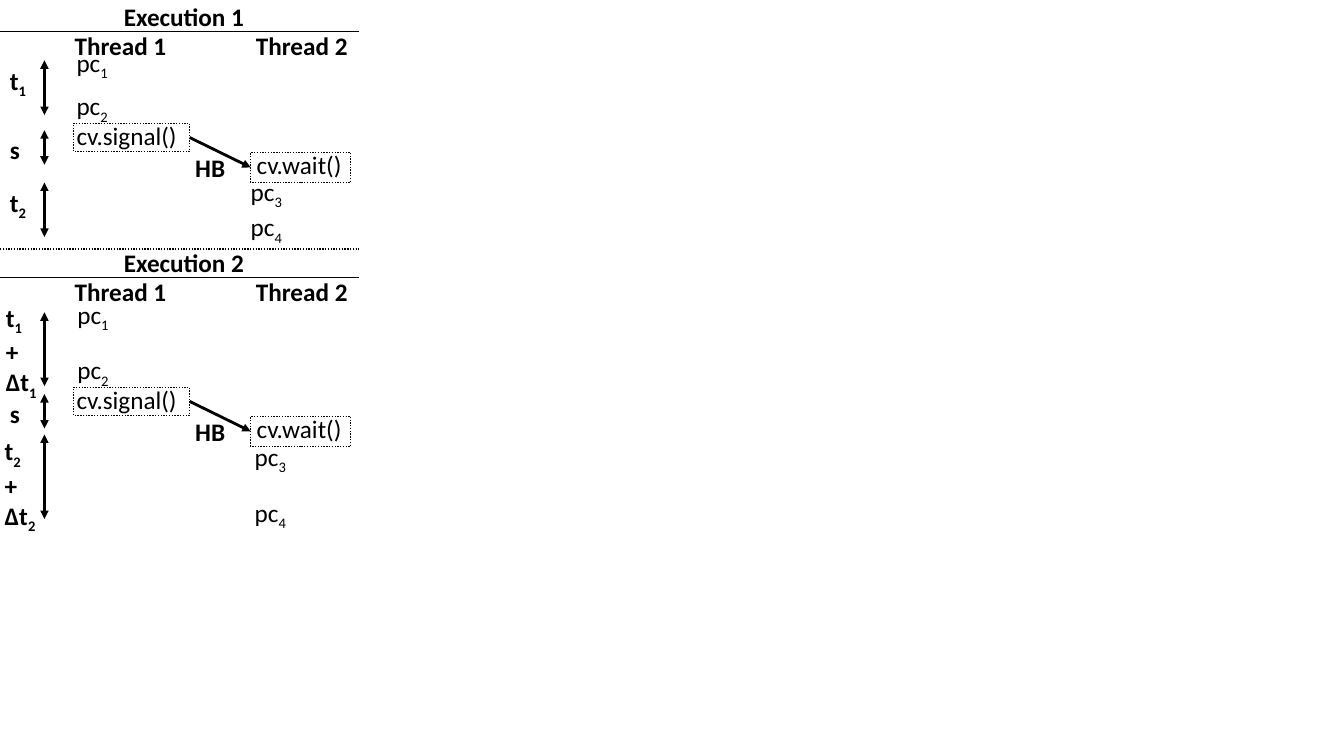
from dataclasses import dataclass

import pptx
import pptx.dml.color
import pptx.enum.dml
import pptx.enum.shapes
import pptx.enum.text
import pptx.oxml
import pptx.oxml.ns
import pptx.util

Cm = pptx.util.Cm
Pt = pptx.util.Pt


@dataclass(frozen=True)
class Theme:
    font: str = "Calibri"
    size: int = 18
    ink: str = "000000"
    thin: float = 1
    thick: float = 2


THEME = Theme()
INK = pptx.dml.color.RGBColor.from_string(THEME.ink)
DOTTED = pptx.enum.dml.MSO_LINE.ROUND_DOT
LINE_H = 1.02      # height of a one-line label, cm
RULE_W = 9.04      # width of the diagram, cm
ARROW_X = 1.12     # column of the duration arrows, cm
THREADS = (("Thread 1", 1.63), ("Thread 2", 6.2))


def add_label(slide, text, left, top, width, height=LINE_H, bold=False, wrap=False):
    """Text label; in each line, what follows "_" is a subscript."""
    sp = slide.shapes.add_textbox(Cm(left), Cm(top), Cm(width), Cm(height))
    tf = sp.text_frame
    tf.word_wrap = wrap
    tf.auto_size = pptx.enum.text.MSO_AUTO_SIZE.SHAPE_TO_FIT_TEXT
    for i, line in enumerate(text.split("\n")):
        p = tf.paragraphs[0] if i == 0 else tf.add_paragraph()
        base, _, sub = line.partition("_")
        p.text = base
        if sub:
            r = p.add_run()
            r.text = sub
            r._r.get_or_add_rPr().set("baseline", "-25000")
        for r in p.runs:
            r.font.name = THEME.font
            r.font.size = Pt(THEME.size)
            r.font.bold = bold
            r.font.color.rgb = INK


def style_line(line, width, dash=None):
    line.color.rgb = INK
    line.width = Pt(width)
    if dash is not None:
        line.dash_style = dash


def add_line(slide, x1, y1, x2, y2, width=THEME.thin, dash=None, ends=()):
    """Straight line; ends names the arrowheads, headEnd and/or tailEnd."""
    cxn = slide.shapes.add_connector(
        pptx.enum.shapes.MSO_CONNECTOR.STRAIGHT, Cm(x1), Cm(y1), Cm(x2), Cm(y2))
    style_line(cxn.line, width, dash)
    ln = cxn.line._get_or_add_ln()
    for end in ends:
        arrowhead = pptx.oxml.parse_xml(
            f'<a:{end} {pptx.oxml.ns.nsdecls("a")} type="triangle"/>')
        ln.append(arrowhead)
    cxn._element.spPr.append(
        pptx.oxml.parse_xml(f'<a:effectLst {pptx.oxml.ns.nsdecls("a")}/>'))
    return cxn


def add_dotted_box(slide, left, top, width, height):
    sp = slide.shapes.add_shape(
        pptx.enum.shapes.MSO_SHAPE.RECTANGLE, Cm(left), Cm(top), Cm(width), Cm(height))
    sp.shadow.inherit = False
    sp.fill.background()
    style_line(sp.line, THEME.thin, DOTTED)
    return sp


def add_duration(slide, start, end, text, left, top, width, height=LINE_H):
    add_line(slide, ARROW_X, start, ARROW_X, end, THEME.thick,
             ends=("headEnd", "tailEnd"))
    add_label(slide, text, left, top, width, height, bold=True, wrap=True)


def add_heading(slide, title, top):
    add_label(slide, title, 2.87, top, 3.58, bold=True)
    add_line(slide, 0, top + 0.89, RULE_W, top + 0.89)
    for name, left in THREADS:
        add_label(slide, name, left, top + 0.74, 2.84, bold=True)


def add_sync(slide, top):
    """Signal and wait calls, joined by the happens-before arrow."""
    add_label(slide, "cv.wait()", 6.22, top + 0.75, 2.67)
    add_label(slide, "cv.signal()", 1.68, top, 3.1, wrap=True)
    signal = add_dotted_box(slide, 1.85, top + 0.21, 2.93, 0.71)
    wait = add_dotted_box(slide, 6.32, top + 0.94, 2.52, 0.76)
    cxn = add_line(slide, 4.78, top + 0.57, 6.32, top + 1.32, THEME.thick,
                   ends=("tailEnd",))
    cxn.begin_connect(signal, 3)
    cxn.end_connect(wait, 1)
    add_label(slide, "HB", 4.67, top + 0.81, 1.27, bold=True)
    add_duration(slide, top + 0.38, top + 1.25, "s", 0, top + 0.36, 0.76)


def add_execution(slide, title, top, sync_top, durations, counters):
    add_heading(slide, title, top)
    add_sync(slide, sync_top)
    for duration in durations:
        add_duration(slide, *duration)
    for number, (left, counter_top) in enumerate(counters, 1):
        add_label(slide, f"pc_{number}", left, counter_top, 1.35)


def main():
    prs = pptx.Presentation()
    prs.slide_width, prs.slide_height = Cm(33.87), Cm(19.05)
    slide = prs.slides.add_slide(prs.slide_layouts[6])

    # Original timing
    add_execution(
        slide, "Execution 1", -0.1, 2.9,
        durations=((1.52, 2.9, "t_1", 0, 1.52, 1.09),
                   (4.6, 5.97, "t_2", 0, 4.6, 1.09)),
        counters=((1.68, 1.07), (1.68, 2.16), (6.07, 4.32), (6.07, 5.21)))

    # Divider between the executions
    add_line(slide, 0, 6.27, RULE_W, 6.27, dash=DOTTED)

    # Delayed timing
    add_execution(
        slide, "Execution 2", 6.11, 9.55,
        durations=((7.87, 9.73, "t_1\n+\nΔt_1", -0.1, 7.49, 1.52, 3.07),
                   (10.95, 13.08, "t_2\n+\nΔt_2", -0.13, 10.85, 1.37, 2.57)),
        counters=((1.7, 7.42), (1.7, 8.81), (6.17, 11), (6.17, 12.4)))

    prs.save("out.pptx")


if __name__ == "__main__":
    main()
